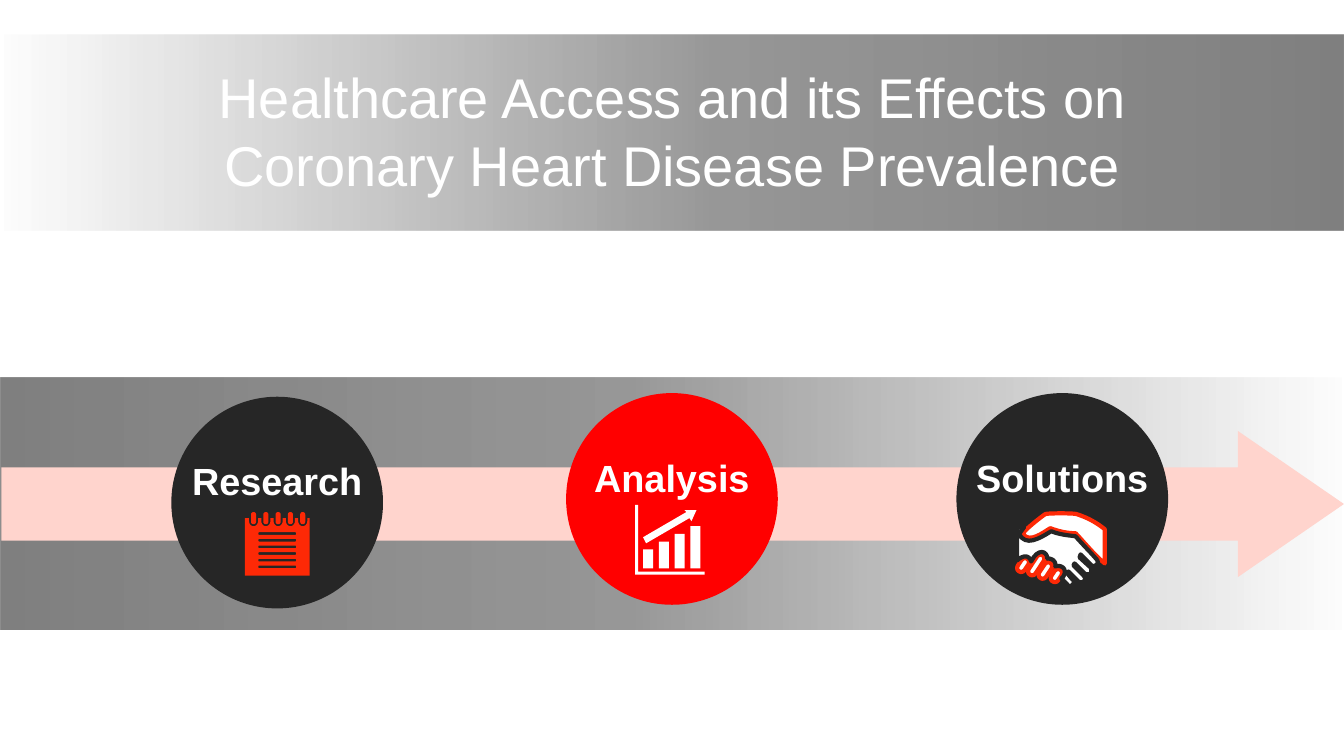
"""Build a slide that leads from research through analysis to solutions."""
from lxml import etree
from pptx import Presentation
from pptx.dml.color import RGBColor
from pptx.enum import shapes, text
from pptx.oxml import ns
from pptx.util import Pt

COLOURS = {"white": "FFFFFF", "black": "000000", "dark": "262626", "red": "FF0000",
           "icon": "FD2906", "pale": "FFD4CD"}
FADE = [(0, 0), (53, 40), (100, 50)]
GRID = 0.72
FINE = 100


def write(frame, lines, size, bold=False, wrap=True, bottom=0):
    """Fill a text frame with centred white lines."""
    frame.word_wrap = wrap
    frame.auto_size = text.MSO_AUTO_SIZE.NONE
    frame.vertical_anchor = text.MSO_ANCHOR.MIDDLE
    frame.margin_left = frame.margin_right = frame.margin_top = 0
    frame.margin_bottom = Pt(bottom)
    frame.text = "\n".join(lines)
    for line in frame.paragraphs:
        line.alignment = text.PP_ALIGN.CENTER
        line.space_before = Pt(0)
        line.font.name = "Arial"
        line.font.size = Pt(size)
        line.font.bold = bold
        line.font.color.rgb = RGBColor.from_string(COLOURS["white"])


def outline(contours, left, top):
    """Draw closed contours; pairs are corners and sextets are Bezier curves."""
    builder = None
    for contour in contours:
        x, y = contour[0]
        if builder is None:
            builder = canvas.build_freeform(x * FINE, y * FINE, Pt(GRID) / FINE)
        else:
            builder.move_to(x * FINE, y * FINE)
        points = []
        for step in contour[1:]:
            if len(step) == 2:
                points.append(step)
            else:
                a, b, c, d, e, f = step
                for t in [n / 8 for n in range(1, 9)]:
                    s = 1 - t
                    points.append((s**3 * x + 3 * s * s * t * a + 3 * s * t * t * c + t**3 * e,
                                   s**3 * y + 3 * s * s * t * b + 3 * s * t * t * d + t**3 * f))
            x, y = step[-2:]
        builder.add_line_segments([(px * FINE, py * FINE) for px, py in points], close=True)
    return builder.convert_to_shape(Pt(left), Pt(top))


deck = Presentation()
deck.slide_width, deck.slide_height = Pt(960), Pt(540)
slide = deck.slides.add_slide(deck.slide_layouts[5])
canvas = slide.shapes
painted = []

for top, height, turn in [(270, 180, 180), (25, 139.7, 0)]:
    band = canvas.add_shape(shapes.MSO_SHAPE.RECTANGLE, 0, Pt(top), Pt(960), Pt(height))
    band.rotation = turn
    band.shadow.inherit = False
    band.line.fill.background()
    band.fill.solid()
    solid = band.fill._xPr.find(ns.qn("a:solidFill"))
    gradient = etree.Element(ns.qn("a:gradFill"), rotWithShape="1")
    stops = etree.SubElement(gradient, ns.qn("a:gsLst"))
    for place, opacity in FADE:
        stop = etree.SubElement(stops, ns.qn("a:gs"), pos=str(place * 1000))
        shade = etree.SubElement(stop, ns.qn("a:srgbClr"), val=COLOURS["black"])
        etree.SubElement(shade, ns.qn("a:alpha"), val=str(opacity * 1000))
    etree.SubElement(gradient, ns.qn("a:lin"), ang="0", scaled="0")
    solid.getparent().replace(solid, gradient)

headline = canvas.title
headline.left, headline.top, headline.width, headline.height = Pt(13), Pt(39.6), Pt(934), Pt(106.6)
write(headline.text_frame,
      ["Healthcare Access and its Effects on", "Coronary Heart Disease Prevalence"], size=40)
canvas._spTree.append(headline._element)

progress = canvas.add_shape(shapes.MSO_SHAPE.RIGHT_ARROW, Pt(1), Pt(307.8), Pt(959), Pt(104.4))
progress.adjustments[0], progress.adjustments[1] = 0.5, 0.726
painted.append((progress, "pale", None))

for stage, left, top, colour in [("Research", 122.4, 283.4, "dark"),
                                 ("Analysis", 404.4, 280.8, "red"),
                                 ("Solutions", 683.2, 280.8, "dark")]:
    circle = canvas.add_shape(shapes.MSO_SHAPE.OVAL, Pt(left), Pt(top), Pt(151.2), Pt(151.2))
    write(circle.text_frame, [stage], size=27, bold=True, wrap=False, bottom=31)
    painted.append((circle, colour, None))

cuff = [(33, 15), (26, 19, 13, 30, 6, 21), (4, 19, 25, 3, 28, 1), (31, 0, 56, 0, 59, 1),
        (71, 5, 78, 9, 87, 16), (87, 50), (77, 42, 64, 26, 58, 20), (49, 20, 41, 18, 33, 15)]
painted.append((outline([cuff], 726.5, 366.5), "white", "icon"))

for left, top, length in [(727.9, 398.2, 10.8), (737.3, 395.3, 16.6),
                          (743.8, 401, 13), (751.7, 406.1, 10.1)]:
    finger = canvas.add_shape(shapes.MSO_SHAPE.ROUNDED_RECTANGLE,
                              Pt(left), Pt(top), Pt(5.8), Pt(length))
    finger.adjustments[0] = 0.5
    finger.rotation = 33.4
    painted.append((finger, "white", "icon"))

palm = [(7, 14), (2, 21), (9, 33, 21, 26, 34, 18), (41, 21, 49, 22, 58, 23),
        (64, 30, 74, 40, 79, 46), (81, 49, 80, 50, 79, 51), (77, 53, 75, 53, 73, 51),
        (63, 41), (62, 44), (73, 54), (74, 56, 74, 58, 73, 60), (71, 61, 69, 61, 67, 60),
        (57, 50), (56, 52), (66, 62), (68, 64, 68, 66, 66, 68), (65, 69, 62, 69, 61, 68),
        (51, 58), (50, 60), (55, 66), (57, 67, 57, 70, 55, 71), (54, 73, 51, 73, 50, 71),
        (45, 66), (44, 65), (46, 63), (51, 54, 42, 51, 38, 53), (39, 47, 34, 45, 30, 45),
        (30, 38, 21, 34, 14, 48), (12, 42, 7, 41, 0, 47), (0, 14)]
painted.append((outline([palm], 726.5, 366.5), "white", "dark"))

sheet, rings = [(0, 6)], []
for ring in range(5):
    x = 8.5 + 12.2 * ring
    sheet += [(x - 4.5, 6), (x - 4.5, 9), (x - 4.5, 11.5, x - 2.5, 14, x, 14),
              (x + 2.5, 14, x + 4.5, 11.5, x + 4.5, 9), (x + 4.5, 6)]
    rings.append([(x, 0), (x + 1.5, 0, x + 2.5, 1, x + 2.5, 2.5), (x + 2.5, 9.5),
                  (x + 2.5, 11, x + 1.5, 12, x, 12), (x - 1.5, 12, x - 2.5, 11, x - 2.5, 9.5),
                  (x - 2.5, 2.5), (x - 2.5, 1, x - 1.5, 0, x, 0)])
sheet += [(64, 6), (64, 63), (0, 63)]
rules = []
for row in range(6):
    y = 20 + 6.6 * row
    rules.append([(14, y), (13, y, 13, y + 2.6, 14, y + 2.6), (50, y + 2.6),
                  (51, y + 2.6, 51, y, 50, y)])
painted.append((outline([sheet] + rules + rings, 175, 365.8), "icon", None))

bars = []
for bar in range(4):
    x, y = 8 + 15.6 * bar, 44 - 7.7 * bar
    bars.append([(x, y), (x + 10, y), (x + 10, 63), (x, 63)])
trend = [(49, 5), (61, 5), (56, 16), (54, 13), (11, 38), (8, 32), (51, 7)]
axes = [(0, 0), (3, 0), (3, 66), (69, 66), (69, 69), (0, 69)]
painted.append((outline(bars + [trend, axes], 453.6, 360.7), "white", None))

for part, fill, edge in painted:
    part.shadow.inherit = False
    part.fill.solid()
    part.fill.fore_color.rgb = RGBColor.from_string(COLOURS[fill])
    if edge:
        part.line.color.rgb = RGBColor.from_string(COLOURS[edge])
        part.line.width = Pt(3)
    else:
        part.line.fill.background()

deck.save("out.pptx")
